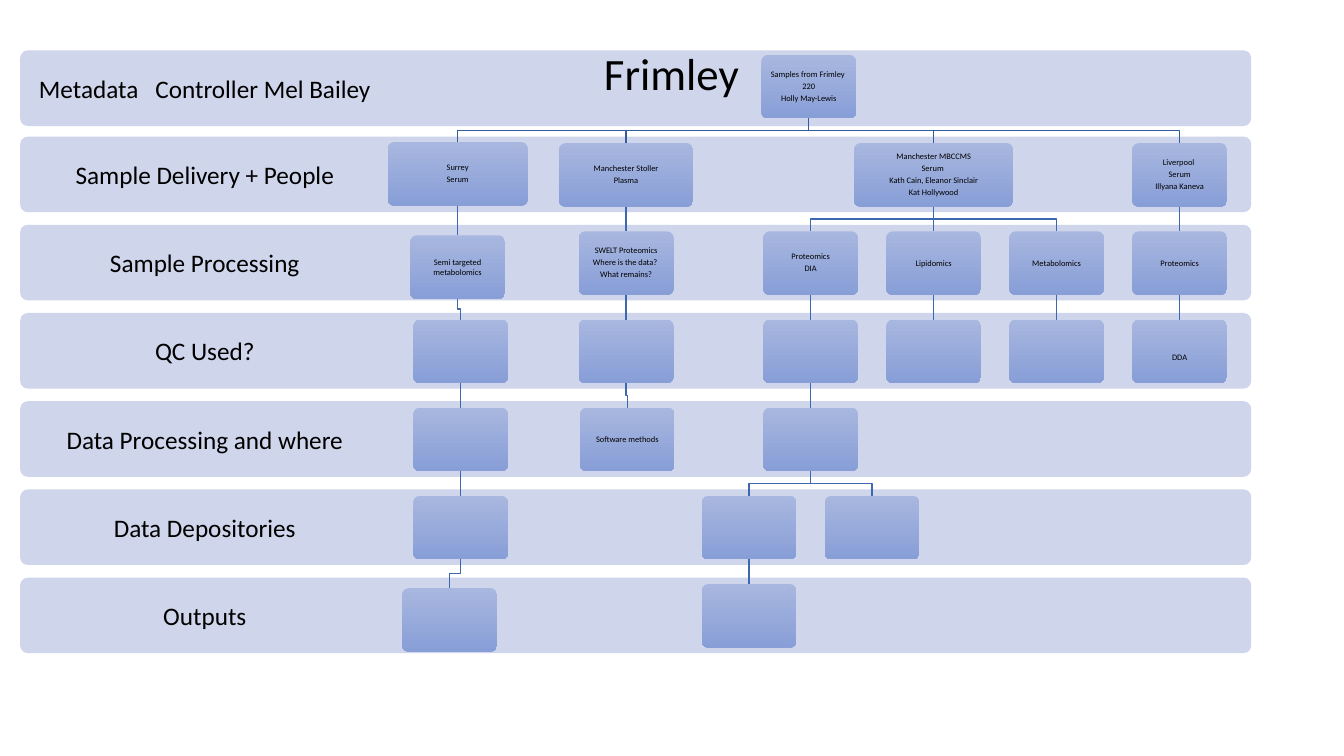
from dataclasses import dataclass, field

from lxml.etree import SubElement
from pptx import Presentation
from pptx.dml.color import RGBColor
from pptx.enum.shapes import MSO_CONNECTOR as Connector, MSO_SHAPE as Shape
from pptx.enum.text import MSO_ANCHOR as Anchor, PP_ALIGN as Align
from pptx.oxml.ns import qn
from pptx.util import Inches, Pt


@dataclass(frozen=True)
class Theme:
    font: str = "Calibri"
    ink: str = "000000"
    band: str = "CFD5EA"
    step_top: str = "A8B7DF"
    step_bottom: str = "889ED7"
    first_link: str = "365B9D"
    link: str = "3E67B2"
    title_size: int = 32
    stage_size: int = 18
    step_size: int = 6
    corner: float = 0.1


@dataclass(frozen=True)
class Box:
    left: float
    top: float
    width: float
    height: float

    @property
    def center(self):
        return self.left + self.width / 2

    @property
    def bottom(self):
        return self.top + self.height

    def inches(self):
        return [Inches(v) for v in (self.left, self.top, self.width, self.height)]


@dataclass
class Step:
    """One step of the workflow; its depth in the tree is its row."""
    column: float
    lines: tuple = ()
    next_steps: list = field(default_factory=list)
    width: float = 0.94
    nudge: float = 0
    text_drop: float = 0


THEME = Theme()
SLIDE = Box(0, 0, 13.33, 7.5)
BANDS = Box(0.2, 0.48, 12.21, 6)
ROW_PITCH, BAND_HEIGHT, LABEL_SHARE = 0.875, 0.75, 0.3
COLUMN_START, COLUMN_PITCH = 6.01, 0.61      # measured from the left of the bands
STEP_HEIGHT, STEP_OFFSET = 0.63, 0.065

STAGES = ("Metadata   Controller Mel Bailey", "Sample Delivery + People",
          "Sample Processing", "QC Used?", "Data Processing and where",
          "Data Depositories", "Outputs")

# Each site's branch, from sample delivery down to outputs
surrey = Step(-2.74, ("Surrey", "Serum"), [
    Step(-2.74, ("Semi targeted metabolomics",), [
        Step(-2.69, (), [Step(-2.69, (), [Step(-2.69, (), [
            Step(-2.87, nudge=0.04)])])])], nudge=0.04)], width=1.39, nudge=-0.01)
stoller = Step(0, ("Manchester Stoller", "Plasma"), [
    Step(0, ("SWELT Proteomics", "Where is the data? ", "What remains?"), [
        Step(0, (), [Step(0.02, ("Software methods",))])])], width=1.33)
mbccms = Step(5, ("Manchester MBCCMS", "Serum ", "Kath Cain, Eleanor Sinclair",
                  "Kat Hollywood"), [
    Step(3, ("Proteomics", "DIA"), [
        Step(3, (), [Step(3, (), [Step(2, (), [Step(2)]), Step(4)])])]),
    Step(5, ("Lipidomics",), [Step(5)]),
    Step(7, ("Metabolomics",), [Step(7)])], width=1.58)
liverpool = Step(9, ("Liverpool ", "Serum", "Illyana Kaneva"), [
    Step(9, ("Proteomics",), [Step(9, ("DDA",), text_drop=0.12)])])
WORKFLOW = Step(2.97, ("Samples from Frimley ", "220", "Holly May-Lewis"),
                [surrey, stoller, mbccms, liverpool])


def color(code):
    return RGBColor.from_string(code)


def write(frame, lines, size, inset, drop=0.0):
    frame.word_wrap = True
    frame.vertical_anchor = Anchor.MIDDLE
    frame.margin_left = frame.margin_right = frame.margin_bottom = Inches(inset)
    frame.margin_top = Inches(inset + drop)
    for number, line in enumerate(lines):
        paragraph = frame.add_paragraph() if number else frame.paragraphs[0]
        paragraph.alignment = Align.CENTER
        paragraph.line_spacing = 0.9 if len(lines) > 1 else 1.0
        paragraph.space_before = Pt(0.35 * size if number else 0)
        run = paragraph.add_run()
        run.text = line
        run.font.name, run.font.size = THEME.font, Pt(size)
        run.font.color.rgb = color(THEME.ink)


def add_rounded(slide, box):
    rounded = slide.shapes.add_shape(Shape.ROUNDED_RECTANGLE, *box.inches())
    rounded.adjustments[0] = THEME.corner
    rounded.shadow.inherit = False
    rounded.line.fill.background()
    return rounded


def draw_band(slide, box, stage):
    band = add_rounded(slide, box)
    band.fill.solid()
    band.fill.fore_color.rgb = color(THEME.band)
    label_box = Box(box.left, box.top, box.width * LABEL_SHARE, box.height)
    label = slide.shapes.add_textbox(*label_box.inches())
    write(label.text_frame, [stage], THEME.stage_size, 0.14)


def draw_link(slide, parent, child, line_color):
    start, end = parent.center, child.center
    if abs(start - end) < 0.005:
        link = slide.shapes.add_connector(
            Connector.STRAIGHT, Inches(start), Inches(parent.bottom),
            Inches(end), Inches(child.top))
        SubElement(link._element.spPr, qn("a:effectLst"))
    else:
        middle = (parent.bottom + child.top) / 2
        outline = slide.shapes.build_freeform(Inches(start), Inches(parent.bottom))
        outline.add_line_segments(
            [(Inches(x), Inches(y)) for x, y in
             ((start, middle), (end, middle), (end, child.top))], close=False)
        link = outline.convert_to_shape()
        link.fill.background()
        link.shadow.inherit = False
    link.line.color.rgb = color(line_color)
    link.line.width = Pt(1)


def draw_steps(slide, area, step, row=0, parent=None):
    center = area.left + COLUMN_START + step.column * COLUMN_PITCH
    top = area.top + row * ROW_PITCH + STEP_OFFSET + step.nudge
    box = Box(center - step.width / 2, top, step.width, STEP_HEIGHT)
    if parent:
        draw_link(slide, parent, box, THEME.first_link if row == 1 else THEME.link)
    card = add_rounded(slide, box)
    card.fill.gradient()
    card.fill.gradient_angle = 270
    for stop, shade in zip(card.fill.gradient_stops, (THEME.step_top, THEME.step_bottom)):
        stop.color.rgb = color(shade)
    write(card.text_frame, step.lines, THEME.step_size, 0.05, step.text_drop)
    for next_step in step.next_steps:
        draw_steps(slide, area, next_step, row + 1, box)


def draw_workflow(slide, area):
    for row, stage in enumerate(STAGES):
        top = area.top + row * ROW_PITCH + (0 if row else 0.02)
        draw_band(slide, Box(area.left, top, area.width, BAND_HEIGHT), stage)
    draw_steps(slide, area, WORKFLOW)


def draw_title(slide, box, text):
    title = slide.shapes.title
    title.left, title.top, title.width, title.height = box.inches()
    write(title.text_frame, [text], THEME.title_size, 0.05)
    slide.shapes._spTree.append(title._element)  # in front of the top band


deck = Presentation()
deck.slide_width, deck.slide_height = Inches(SLIDE.width), Inches(SLIDE.height)
workflow_slide = deck.slides.add_slide(deck.slide_layouts[5])
draw_workflow(workflow_slide, BANDS)
draw_title(workflow_slide, Box(0.91, 0, 11.5, 1.45), "Frimley")
deck.save("out.pptx")
